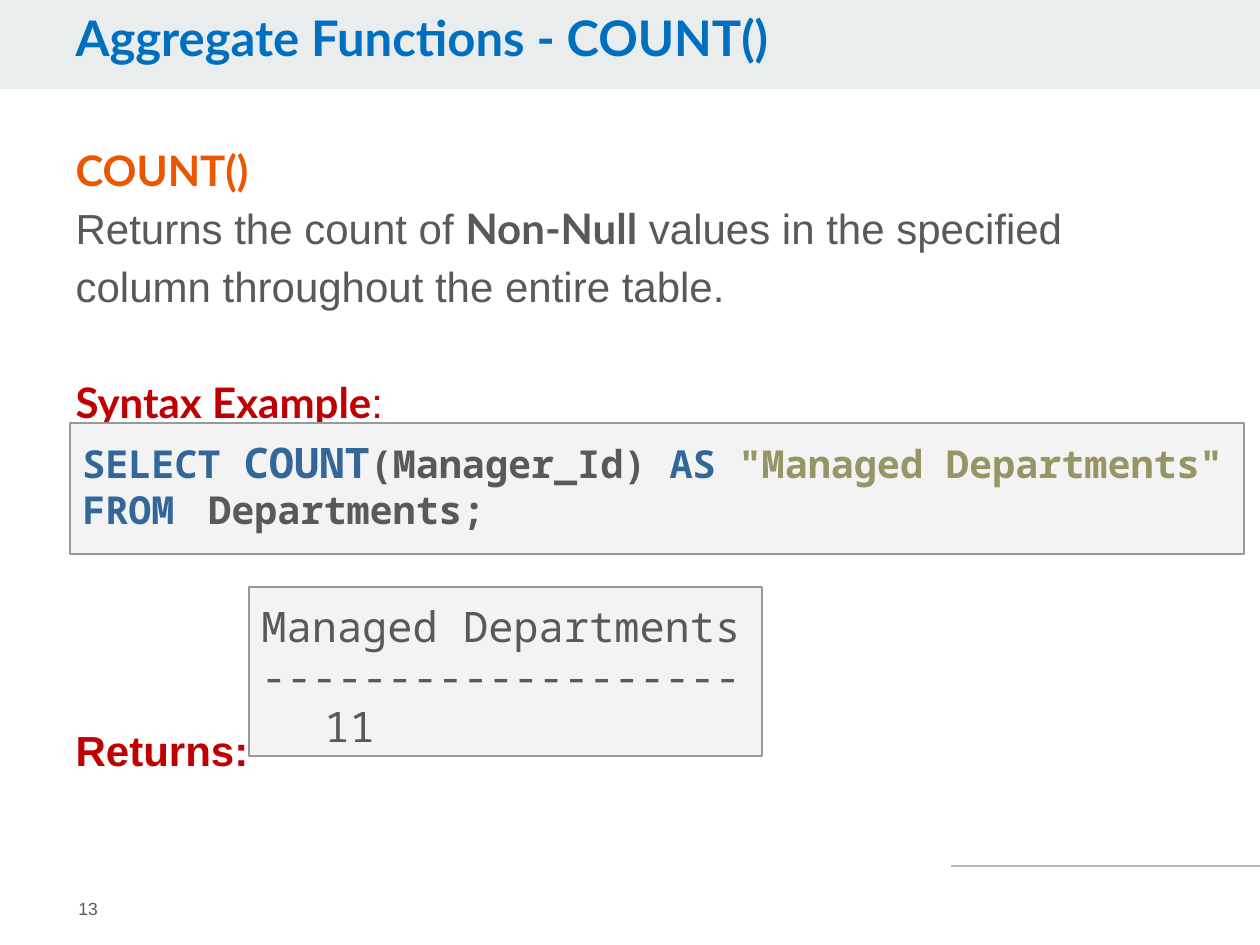
from lxml import etree
from pptx import Presentation, util as u
from pptx.dml import color
from pptx.enum import shapes, text
from pptx.oxml import ns

PX = 7257
SANS, HEAD, MONO = "Arial", "Lato", "Noto Sans Mono"
BLUE, ORANGE, RED, GREY = "006FBF", "EB5600", "C00000", "595959"
KEYWORD, LITERAL = "336699", "959566"
PANEL, EDGE, BAND, RULE = "F3F3F3", "999999", "E9EDEE", "B7B7B7"

TITLE = [(0, [("Aggregate Functions - COUNT()", 28, HEAD, BLUE, True)])]
BODY = [
    (0, [("COUNT()", 24, HEAD, ORANGE, True)]),
    (0, [("Returns the count of ", 24, SANS, GREY, False),
         ("Non-Null", 24, HEAD, GREY, True),
         (" values in the specified column throughout the entire table.",
          24, SANS, GREY, False)]),
    (33, [("Syntax Example", 24, HEAD, RED, True), (":", 24, SANS, RED, False)]),
    (166, [("Returns:", 24, SANS, RED, True)]),
]
QUERY = [
    (0, [("SELECT ", 22, MONO, KEYWORD, True),
         ("COUNT", 24, MONO, KEYWORD, True),
         ("(Manager_Id) ", 22, MONO, GREY, True),
         ("AS ", 22, MONO, KEYWORD, True),
         ('"Managed Departments"', 22, MONO, LITERAL, True)]),
    (0, [("FROM", 22, MONO, KEYWORD, True),
         ("\tDepartments;", 22, MONO, GREY, True)]),
]
RESULT = [(0, [(line, 24, MONO, GREY, False)])
          for line in ("Managed Departments", "-" * 19, "\t11")]
NUMBER = [(0, [("13", 10, SANS, GREY, False)])]


def rgb(value):
    """Turn a hex string into a colour."""
    return color.RGBColor.from_string(value)


def place(box, left, top, width, height):
    """Position a shape in px."""
    box.left, box.top, box.width, box.height = (
        u.Emu(side * PX) for side in (left, top, width, height))


def write(box, paragraphs, inset=13, spacing=1.0, anchor=text.MSO_ANCHOR.TOP, tab=None):
    """Fill a shape with formatted paragraphs and an optional (px, alignment) tab."""
    frame = box.text_frame
    frame.word_wrap = True
    frame.auto_size = text.MSO_AUTO_SIZE.NONE
    frame.vertical_anchor = anchor
    frame.margin_left = frame.margin_right = u.Inches(0.1)
    frame.margin_top = frame.margin_bottom = u.Emu(inset * PX)
    for index, (before, spans) in enumerate(paragraphs):
        para = frame.paragraphs[0] if index == 0 else frame.add_paragraph()
        para.alignment = text.PP_ALIGN.LEFT
        para.line_spacing = spacing
        para.space_before, para.space_after = u.Pt(before), u.Pt(0)
        props = para._p.get_or_add_pPr()
        props.set("marL", "0")
        props.set("indent", "0")
        etree.SubElement(props, ns.qn("a:buNone"))
        if tab:
            stops = etree.SubElement(props, ns.qn("a:tabLst"))
            etree.SubElement(stops, ns.qn("a:tab"), pos=str(tab[0] * PX), algn=tab[1])
        for words, size, face, ink, bold in spans:
            span = para.add_run()
            span.text = words
            span.font.size, span.font.name, span.font.bold = u.Pt(size), face, bold
            span.font.color.rgb = rgb(ink)


def add_panel(page, bounds, fill, edge=None):
    """Add a flat rectangle."""
    panel = page.shapes.add_shape(shapes.MSO_SHAPE.RECTANGLE, 0, 0, 0, 0)
    place(panel, *bounds)
    panel.shadow.inherit = False
    panel.fill.solid()
    panel.fill.fore_color.rgb = rgb(fill)
    if edge:
        panel.line.color.rgb = rgb(edge)
        panel.line.width = u.Pt(0.75)
    else:
        panel.line.fill.background()
    return panel


def main():
    """Build the COUNT() slide."""
    deck = Presentation()
    deck.slide_width, deck.slide_height = u.Inches(10), u.Inches(7.5)
    page = deck.slides.add_slide(deck.slide_layouts[1])
    title, body = page.placeholders

    rule = page.shapes.add_connector(
        shapes.MSO_CONNECTOR.STRAIGHT, 951 * PX, 866 * PX, 1260 * PX, 866 * PX)
    rule.line.color.rgb = rgb(RULE)
    rule.line.width = u.Pt(0.75)
    etree.SubElement(rule._element.spPr, ns.qn("a:effectLst"))
    band = add_panel(page, (0, 0, 1260, 89), BAND)
    for backdrop in (band, rule):
        title._element.addprevious(backdrop._element)

    place(title, 63, 8, 993, 69)
    write(title, TITLE, inset=6, spacing=0.9)
    place(body, 63, 131, 1140, 649)
    write(body, BODY, inset=6, spacing=1.15)

    number = page.shapes.add_textbox(0, 0, 0, 0)
    place(number, 66, 873, 155, 72)
    write(number, NUMBER, anchor=text.MSO_ANCHOR.MIDDLE)

    query = add_panel(page, (70, 423, 1174, 131), PANEL, EDGE)
    write(query, QUERY, tab=(161, "l"))
    result = add_panel(page, (249, 587, 513, 169), PANEL, EDGE)
    write(result, RESULT, tab=(478, "r"))
    deck.save("out.pptx")


if __name__ == "__main__":
    main()
